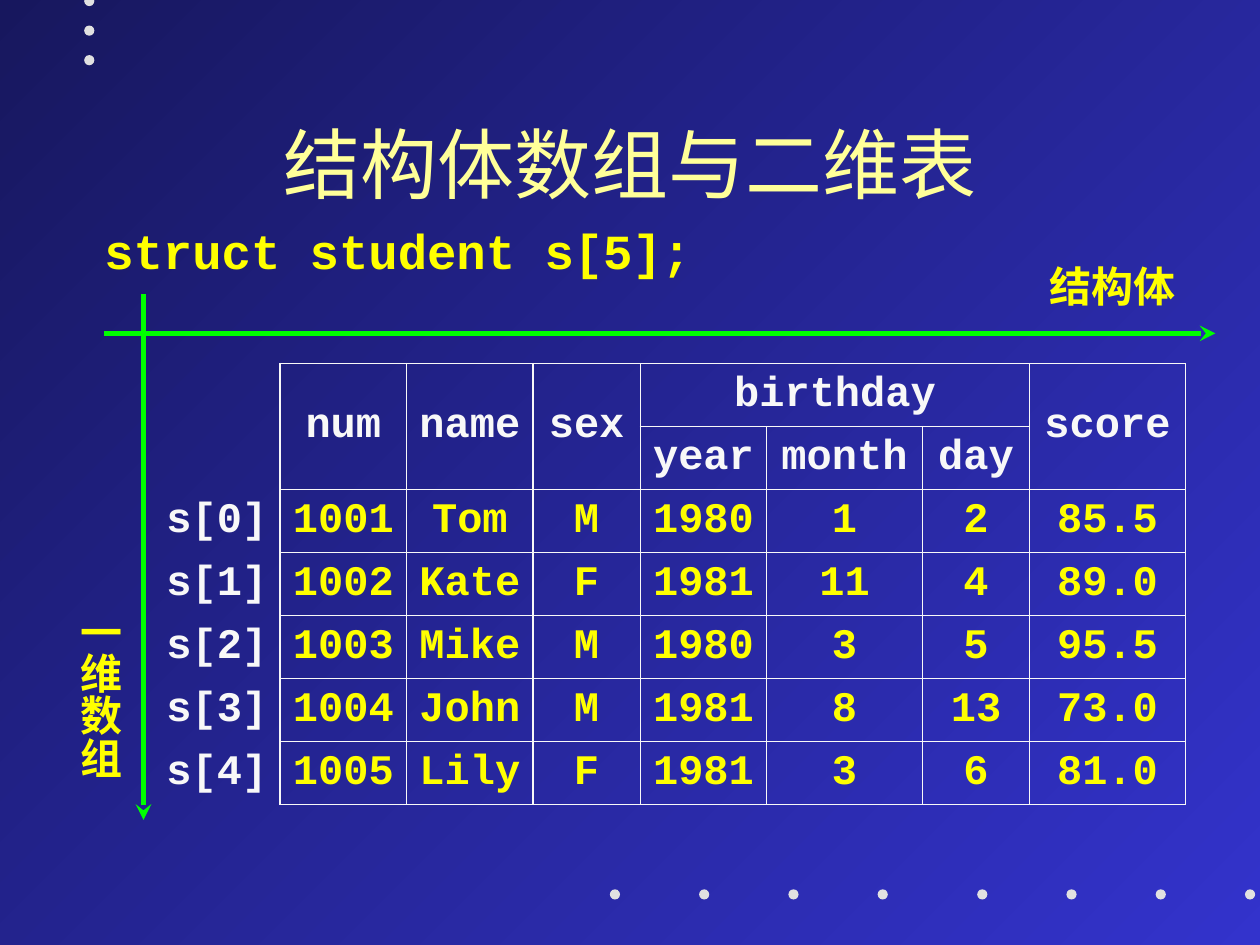
from dataclasses import dataclass

from lxml import etree
from pptx import Presentation
from pptx.dml.color import RGBColor
from pptx.enum.shapes import MSO_CONNECTOR, MSO_SHAPE
from pptx.enum.text import MSO_ANCHOR, MSO_AUTO_SIZE, PP_ALIGN
from pptx.oxml.ns import qn
from pptx.util import Pt

LEFT, CENTER = PP_ALIGN.LEFT, PP_ALIGN.CENTER
TOP, MIDDLE = MSO_ANCHOR.TOP, MSO_ANCHOR.MIDDLE
GROW = MSO_AUTO_SIZE.SHAPE_TO_FIT_TEXT
OVAL, LINE = MSO_SHAPE.OVAL, MSO_CONNECTOR.STRAIGHT


@dataclass(frozen=True)
class Theme:
    bright: str = "3333CC"
    dark: str = "17175E"
    dot: str = "E1E1E1"
    title: str = "FFFF99"
    white: str = "F8F8F8"
    yellow: str = "FFFF00"
    green: str = "00FF00"
    serif: str = "Times New Roman"
    mono: str = "Courier New"
    big: int = 44
    code: int = 28
    body: int = 24


THEME = Theme()
WIDTHS = (72.2, 72.4, 72.2, 61.2, 72.4, 88.8, 61.5, 88.8)
ROW_H = 35.9
HEADS = (
    ("", "num", "name", "sex", "birthday", "", "", "score"),
    ("", "", "", "", "year", "month", "day", ""),
)
DATA = (
    ("1001", "Tom", "M", "1980", "1", "2", "85.5"),
    ("1002", "Kate", "F", "1981", "11", "4", "89.0"),
    ("1003", "Mike", "M", "1980", "3", "5", "95.5"),
    ("1004", "John", "M", "1981", "8", "13", "73.0"),
    ("1005", "Lily", "F", "1981", "3", "6", "81.0"),
)


def rgb(code):
    return RGBColor.from_string(code)


def write(frame, text, size=THEME.body, color=THEME.yellow, font=THEME.mono,
          bold=True, align=LEFT):
    para = frame.paragraphs[0]
    para.alignment = align
    run = para.add_run()
    run.text = text
    run.font.size = Pt(size)
    run.font.name = font
    run.font.bold = bold
    run.font.color.rgb = rgb(color)


def add_label(slide, box, text, wrap=False, anchor=TOP, upright=False, **style):
    """Add a text box; upright stacks the characters downwards."""
    frame = slide.shapes.add_textbox(*map(Pt, box)).text_frame
    frame.word_wrap = wrap
    frame.vertical_anchor = anchor
    if not wrap:
        frame.auto_size = GROW
    if upright:
        frame.margin_left = frame.margin_right = Pt(3.6)
        frame.margin_top = frame.margin_bottom = Pt(7.2)
        frame._txBody.bodyPr.set("vert", "eaVert")
    write(frame, text, **style)


def add_dots(slide, left, top, count, dx=0, dy=0):
    for i in range(count):
        dot = slide.shapes.add_shape(
            OVAL, Pt(left + i * dx), Pt(top + i * dy), Pt(5.8), Pt(5.8))
        dot.shadow.inherit = False
        dot.fill.solid()
        dot.fill.fore_color.rgb = rgb(THEME.dot)
        dot.line.fill.background()


def add_arrow(slide, *ends):
    arrow = slide.shapes.add_connector(LINE, *map(Pt, ends))
    arrow.line.color.rgb = rgb(THEME.green)
    arrow.line.width = Pt(3)
    etree.SubElement(arrow.line._get_or_add_ln(), qn("a:tailEnd"), type="stealth")
    etree.SubElement(arrow._element.spPr, qn("a:effectLst"))


def set_edges(cell, shown):
    """Draw the cell borders named in shown and clear the others."""
    props = cell._tc.get_or_add_tcPr()
    for side in "LRTB":
        edge = etree.SubElement(props, qn("a:ln" + side), w=str(Pt(0.75)))
        if side in shown:
            fill = etree.SubElement(edge, qn("a:solidFill"))
            etree.SubElement(fill, qn("a:srgbClr"), val=THEME.white)
        else:
            etree.SubElement(edge, qn("a:noFill"))


def add_grid(slide, left, top):
    body = tuple((f"s[{i}]", *line) for i, line in enumerate(DATA))
    rows = HEADS + body
    grid = slide.shapes.add_table(
        len(rows), len(WIDTHS), Pt(left), Pt(top),
        Pt(sum(WIDTHS)), Pt(ROW_H * len(rows))).table
    grid.first_row = grid.horz_banding = False
    for col, width in zip(grid.columns, WIDTHS):
        col.width = Pt(width)
    for r, line in enumerate(rows):
        grid.rows[r].height = Pt(ROW_H)
        for c, text in enumerate(line):
            cell = grid.cell(r, c)
            set_edges(cell, "LRTB" if c else "R")
            cell.fill.background()
            cell.vertical_anchor = MIDDLE
            if text:
                value = c > 0 and r >= len(HEADS)
                write(cell.text_frame, text, align=CENTER,
                      color=THEME.yellow if value else THEME.white)
    for c in (0, 1, 2, 3, 7):
        grid.cell(0, c).merge(grid.cell(1, c))
    grid.cell(0, 4).merge(grid.cell(0, 6))


def paint_back(slide):
    fill = slide.background.fill
    fill.gradient()
    fill.gradient_angle = 135
    for stop, color in zip(fill.gradient_stops, (THEME.bright, THEME.dark)):
        stop.color.rgb = rgb(color)


def main():
    deck = Presentation()
    deck.slide_width, deck.slide_height = Pt(720), Pt(540)
    slide = deck.slides.add_slide(deck.slide_layouts[6])
    paint_back(slide)
    add_dots(slide, 48.1, -2.3, 3, dy=16.9)
    add_dots(slide, 348.5, 508.2, 4, dx=51)
    add_dots(slide, 558.4, 508.2, 4, dx=51)
    add_label(slide, (54, 48, 612, 90), "结构体数组与二维表", wrap=True,
              anchor=MIDDLE, size=THEME.big, color=THEME.title,
              font=THEME.serif, bold=False, align=CENTER)
    add_grid(slide, 87.8, 207.6)
    add_label(slide, (52.5, 122.4, 350, 41), "struct student s[5];",
              size=THEME.code)
    add_arrow(slide, 82, 168, 82, 468.5)
    add_arrow(slide, 59.5, 190.5, 694.5, 190.5)
    add_label(slide, (592.5, 145.5, 86.4, 36), "结构体")
    add_label(slide, (31.7, 342, 43.2, 103.7), "一维数组", upright=True)
    deck.save("out.pptx")


if __name__ == "__main__":
    main()
